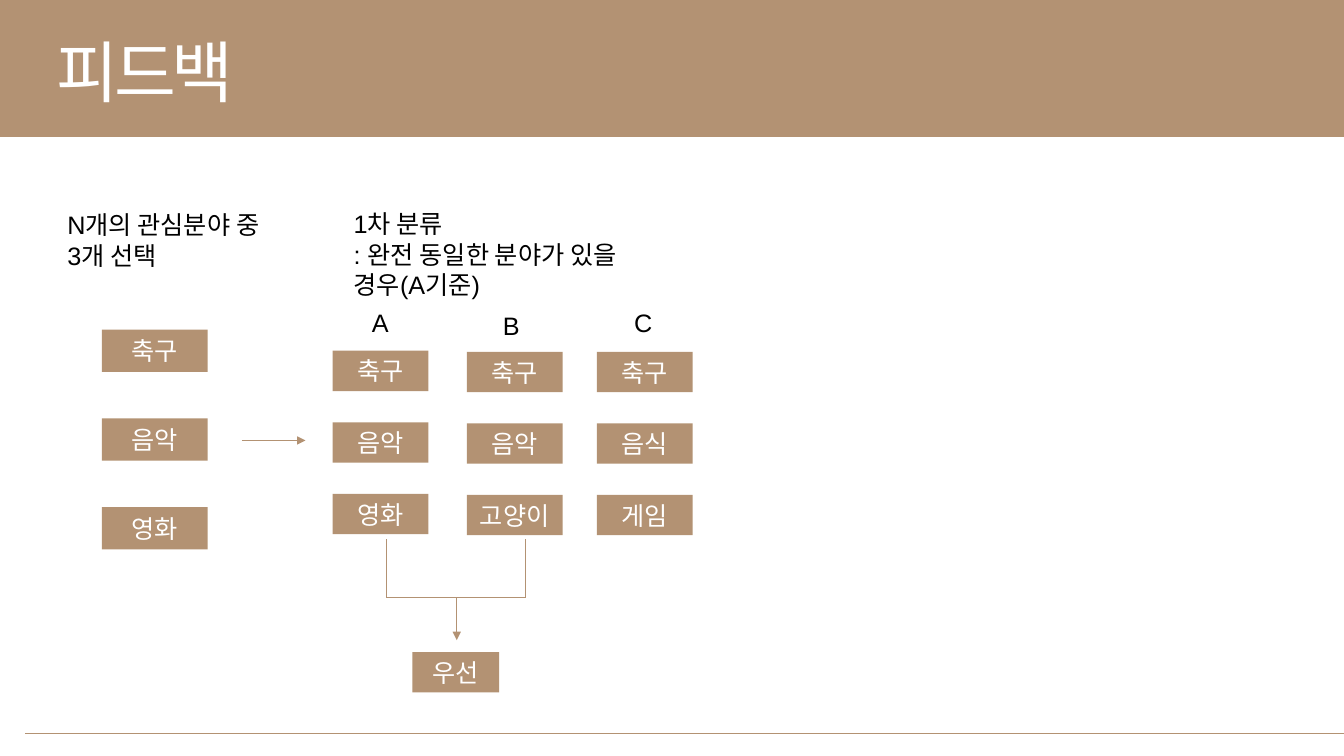
from dataclasses import dataclass

from lxml import etree
from pptx import Presentation
from pptx.dml.color import RGBColor
from pptx.enum.shapes import MSO_CONNECTOR, MSO_SHAPE
from pptx.enum.text import MSO_ANCHOR, MSO_AUTO_SIZE, PP_ALIGN
from pptx.oxml.ns import qn
from pptx.util import Inches, Pt

RECTANGLE = MSO_SHAPE.RECTANGLE
STRAIGHT = MSO_CONNECTOR.STRAIGHT
LEFT, CENTER = PP_ALIGN.LEFT, PP_ALIGN.CENTER
TOP, MIDDLE = MSO_ANCHOR.TOP, MSO_ANCHOR.MIDDLE
NO_FIT = MSO_AUTO_SIZE.NONE

COLORS = {"tan": "B39273", "white": "FFFFFF", "black": "000000"}
FONT = "Arial"
LAYOUT_TITLE_ONLY = 5


@dataclass
class Block:
    left: float
    top: float
    width: float
    height: float
    text: str = ""


@dataclass
class Column:
    left: float
    top: float
    width: float
    height: float
    pitch: float
    words: tuple[str, ...]

    def blocks(self) -> list[Block]:
        return [Block(self.left, self.top + row * self.pitch, self.width, self.height, word)
                for row, word in enumerate(self.words)]


@dataclass
class Line:
    x1: float
    y1: float
    x2: float
    y2: float
    arrow: bool = False


COLUMNS = [
    Column(1.01, 3.27, 1.05, 0.42, 0.88, ("축구", "음악", "영화")),
    Column(3.3, 3.48, 0.95, 0.4, 0.71, ("축구", "음악", "영화")),
    Column(4.63, 3.49, 0.95, 0.4, 0.71, ("축구", "음악", "고양이")),
    Column(5.92, 3.49, 0.95, 0.4, 0.71, ("축구", "음식", "게임")),
]
PRIORITY = Block(4.09, 6.47, 0.86, 0.4, "우선")
NOTES = [
    Block(0.57, 2.03, 2.46, 0.71, "N개의 관심분야 중\n3개 선택"),
    Block(3.41, 2.02, 2.85, 1.01, "1차 분류\n: 완전 동일한 분야가 있을 경우(A기준)"),
    Block(3.59, 3.0, 0.42, 0.4, "A"),
    Block(4.89, 3.03, 0.42, 0.4, "B"),
    Block(6.19, 3.0, 0.42, 0.4, "C"),
]
LINES = [
    Line(0.25, 7.28, 13.33, 7.28),
    Line(2.4, 4.37, 3.03, 4.37, arrow=True),
    Line(3.83, 5.35, 3.83, 5.93),
    Line(5.21, 5.35, 5.21, 5.93),
    Line(3.83, 5.93, 5.21, 5.93),
    Line(4.53, 5.93, 4.53, 6.35, arrow=True),
]


def color(name: str) -> RGBColor:
    return RGBColor.from_string(COLORS[name])


def write(frame, text: str, size: float, ink: str, align=LEFT, anchor=TOP, wrap=True) -> None:
    frame.auto_size = NO_FIT
    frame.word_wrap = wrap
    frame.vertical_anchor = anchor
    for index, words in enumerate(text.split("\n")):
        para = frame.add_paragraph() if index else frame.paragraphs[0]
        para.alignment = align
        span = para.add_run()
        span.text = words
        span.font.name = FONT
        span.font.size = Pt(size)
        span.font.color.rgb = color(ink)


def frame_of(block: Block) -> list[int]:
    return [Inches(round(v, 2)) for v in (block.left, block.top, block.width, block.height)]


def add_block(page, block: Block) -> None:
    box = page.shapes.add_shape(RECTANGLE, *frame_of(block))
    box.shadow.inherit = False
    box.fill.solid()
    box.fill.fore_color.rgb = color("tan")
    box.line.fill.background()
    if block.text:
        write(box.text_frame, block.text, 18, "white", CENTER, MIDDLE)


def add_note(page, note: Block) -> None:
    box = page.shapes.add_textbox(*frame_of(note))
    write(box.text_frame, note.text, 18, "black")


def add_line(page, line: Line) -> None:
    ends = [Inches(v) for v in (line.x1, line.y1, line.x2, line.y2)]
    link = page.shapes.add_connector(STRAIGHT, *ends)
    link.line.color.rgb = color("tan")
    link.line.width = Pt(0.5)
    if line.arrow:
        etree.SubElement(link.line._get_or_add_ln(), qn("a:tailEnd"), type="triangle")
    etree.SubElement(link._element.spPr, qn("a:effectLst"))


def add_title(page, block: Block) -> None:
    title = page.shapes.title
    title.left, title.top, title.width, title.height = frame_of(block)
    write(title.text_frame, block.text, 48, "white", wrap=False)
    span = title.text_frame.paragraphs[0].runs[0]
    span.font._element.set("spc", "-300")
    # Bring the title in front of the banner
    page.shapes._spTree.append(title._element)


def main() -> None:
    deck = Presentation()
    deck.slide_width, deck.slide_height = Inches(13.33), Inches(7.5)
    page = deck.slides.add_slide(deck.slide_layouts[LAYOUT_TITLE_ONLY])

    # Banner and title
    add_block(page, Block(0, 0, 13.33, 1.36))
    add_title(page, Block(0.46, 0.25, 2.1, 0.91, "피드백"))

    # Interest columns and the priority result
    for column in COLUMNS:
        for block in column.blocks():
            add_block(page, block)
    add_block(page, PRIORITY)

    # Footer rule, arrows and bracket
    for line in LINES:
        add_line(page, line)

    # Explanations and column letters
    for note in NOTES:
        add_note(page, note)

    deck.save("out.pptx")


if __name__ == "__main__":
    main()
